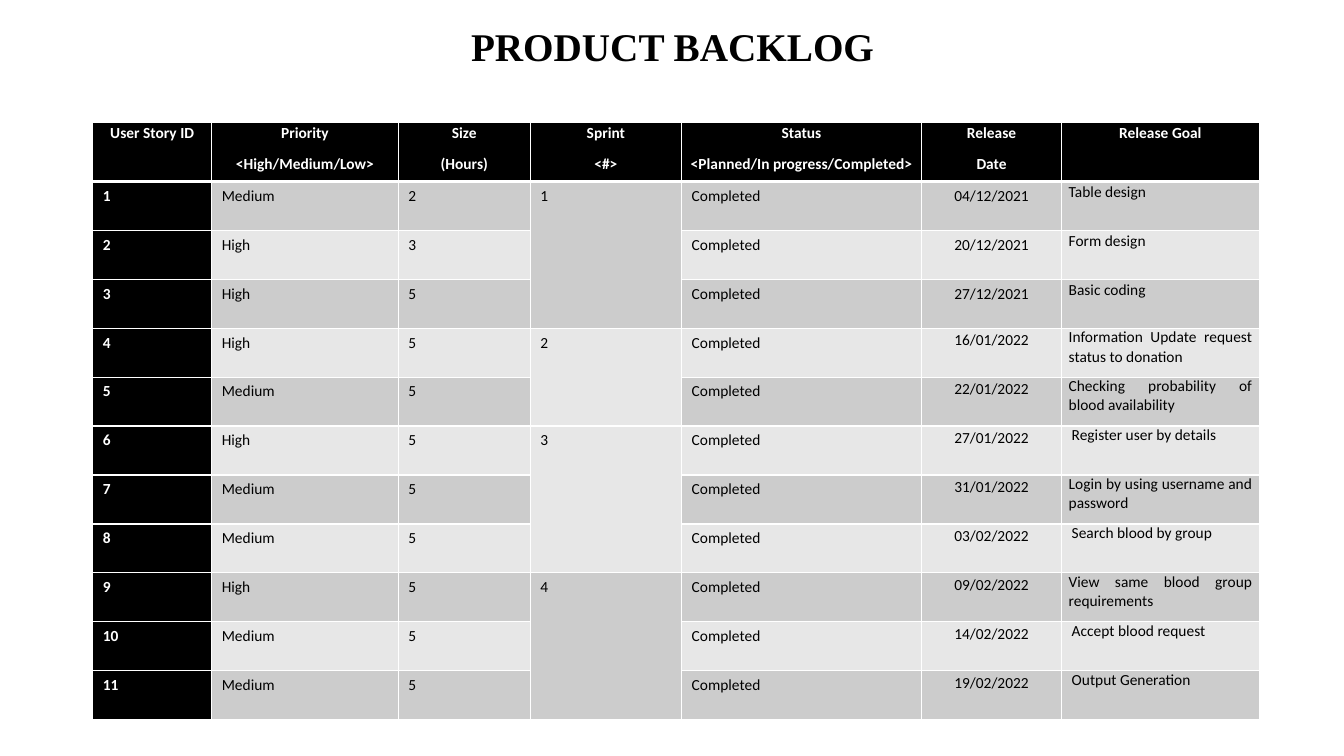
from dataclasses import dataclass

from lxml import etree
from pptx import Presentation
from pptx.dml.color import RGBColor
from pptx.enum import text as t
from pptx.oxml import ns
from pptx.util import Inches, Pt


@dataclass(frozen=True)
class Theme:
    black: str = "000000"
    white: str = "FFFFFF"
    bands: tuple = ("E7E7E7", "CCCCCC")
    head: str = "Times New Roman"
    body: str = "Calibri"
    big: int = 28
    small: int = 11


THEME = Theme()
LEFT, CENTER, FULL = t.PP_ALIGN.LEFT, t.PP_ALIGN.CENTER, t.PP_ALIGN.JUSTIFY
TIGHT = (0.07, 0)
PLAIN = (0.1, 0.05)
WIDTHS = (1.18, 1.85, 1.31, 1.5, 2.38, 1.39, 1.96)
HIGH, TOP = 5.93, 0.59
HEADS = (
    "User Story ID",
    "Priority\n<High/Medium/Low>",
    "Size\n(Hours)",
    "Sprint\n<#>",
    "Status\n<Planned/In progress/Completed>",
    "Release\nDate",
    "Release Goal",
)
STORIES = (
    ("Medium", 2, "04/12/2021", "Table design"),
    ("High", 3, "20/12/2021", "Form design"),
    ("High", 5, "27/12/2021", "Basic coding"),
    ("High", 5, "16/01/2022", "Information Update request status to donation"),
    ("Medium", 5, "22/01/2022", "Checking probability of blood availability"),
    ("High", 5, "27/01/2022", "Register user by details"),
    ("Medium", 5, "31/01/2022", "Login by using username and password"),
    ("Medium", 5, "03/02/2022", "Search blood by group"),
    ("High", 5, "09/02/2022", "View same blood group requirements"),
    ("Medium", 5, "14/02/2022", "Accept blood request"),
    ("Medium", 5, "19/02/2022", "Output Generation"),
)
SPRINTS = (3, 2, 3, 3)  # stories in each sprint
EARLY = SPRINTS[0]  # stories of the first sprint are set differently
INSET = (6, 8, 10, 11)  # stories whose goal is slightly indented


def write(frame, words, font=THEME.body, size=THEME.small, color=THEME.black,
          bold=False, align=LEFT, line=1.0, after=0, indent=0):
    """Fill a text frame, one paragraph for each line of words."""
    frame.word_wrap = True
    for i, part in enumerate(words.split("\n")):
        para = frame.add_paragraph() if i else frame.paragraphs[0]
        para.alignment, para.line_spacing = align, line
        para.space_before, para.space_after = Pt(0), Pt(after)
        if indent:
            para._p.get_or_add_pPr().set("marL", str(Inches(indent)))
        run = para.add_run()
        run.text = part
        run.font.name, run.font.size, run.font.bold = font, Pt(size), bold
        run.font.color.rgb = RGBColor.from_string(color)


def border(cell, side, width):
    line = etree.SubElement(cell._tc.get_or_add_tcPr(), ns.qn(f"a:ln{side}"), w=str(Pt(width)))
    fill = etree.SubElement(line, ns.qn("a:solidFill"))
    etree.SubElement(fill, ns.qn("a:srgbClr"), val=THEME.white)


def paint(cell, color, top=1, bottom=1):
    for side, width in zip("LRTB", (1, 1, top, bottom)):
        border(cell, side, width)
    cell.fill.solid()
    cell.fill.fore_color.rgb = RGBColor.from_string(color)


def put(cell, words, inset=PLAIN, **style):
    cell.margin_left = cell.margin_right = Inches(inset[0])
    cell.margin_top = cell.margin_bottom = Inches(inset[1])
    write(cell.text_frame, str(words), **style)


def add_head(table):
    for cell, words in zip(table.rows[0].cells, HEADS):
        paint(cell, THEME.black, bottom=3)
        put(cell, words, TIGHT, color=THEME.white, bold=True, align=CENTER, line=1.07, after=8)


def add_story(table, num, story):
    level, size, date, goal = story
    cells = list(table.rows[num].cells)
    for col, cell in enumerate(cells):
        paint(cell, THEME.bands[num % 2] if col else THEME.black, top=3 if num == 1 else 1)
    put(cells[0], num, color=THEME.white, bold=True)
    for col, words in ((1, level), (2, size), (4, "Completed")):
        put(cells[col], words)
    if num <= EARLY:
        put(cells[5], date, (0.11, 0.05), align=CENTER)
        put(cells[6], goal, TIGHT, line=1.07, after=8)
    else:
        put(cells[5], date, TIGHT, align=CENTER, line=1.15)
        put(cells[6], goal, TIGHT, align=FULL, indent=0.03 if num in INSET else 0)


def add_sprints(table):
    row = 1
    for num, count in enumerate(SPRINTS, 1):
        first = table.cell(row, 3)
        put(first, num)
        first.merge(table.cell(row + count - 1, 3))
        row += count


def add_table(slide):
    count = len(STORIES)
    table = slide.shapes.add_table(count + 1, len(WIDTHS), Inches(0.92), Inches(1.21),
                                   Inches(sum(WIDTHS)), Inches(HIGH)).table
    for col, width in zip(table.columns, WIDTHS):
        col.width = Inches(width)
    for i, row in enumerate(table.rows):
        row.height = Inches((HIGH - TOP) / count if i else TOP)
    add_head(table)
    for num, story in enumerate(STORIES, 1):
        add_story(table, num, story)
    add_sprints(table)


def add_title(slide):
    box = slide.shapes.add_textbox(Inches(0.92), Inches(-0.24), Inches(11.5), Inches(1.45))
    box.text_frame.vertical_anchor = t.MSO_ANCHOR.MIDDLE
    write(box.text_frame, "PRODUCT BACKLOG", font=THEME.head, size=THEME.big,
          bold=True, align=CENTER, line=0.9)


def main():
    deck = Presentation()
    deck.slide_width, deck.slide_height = Inches(13.33), Inches(7.5)
    slide = deck.slides.add_slide(deck.slide_layouts[6])
    add_title(slide)
    add_table(slide)
    deck.save("out.pptx")


if __name__ == "__main__":
    main()
